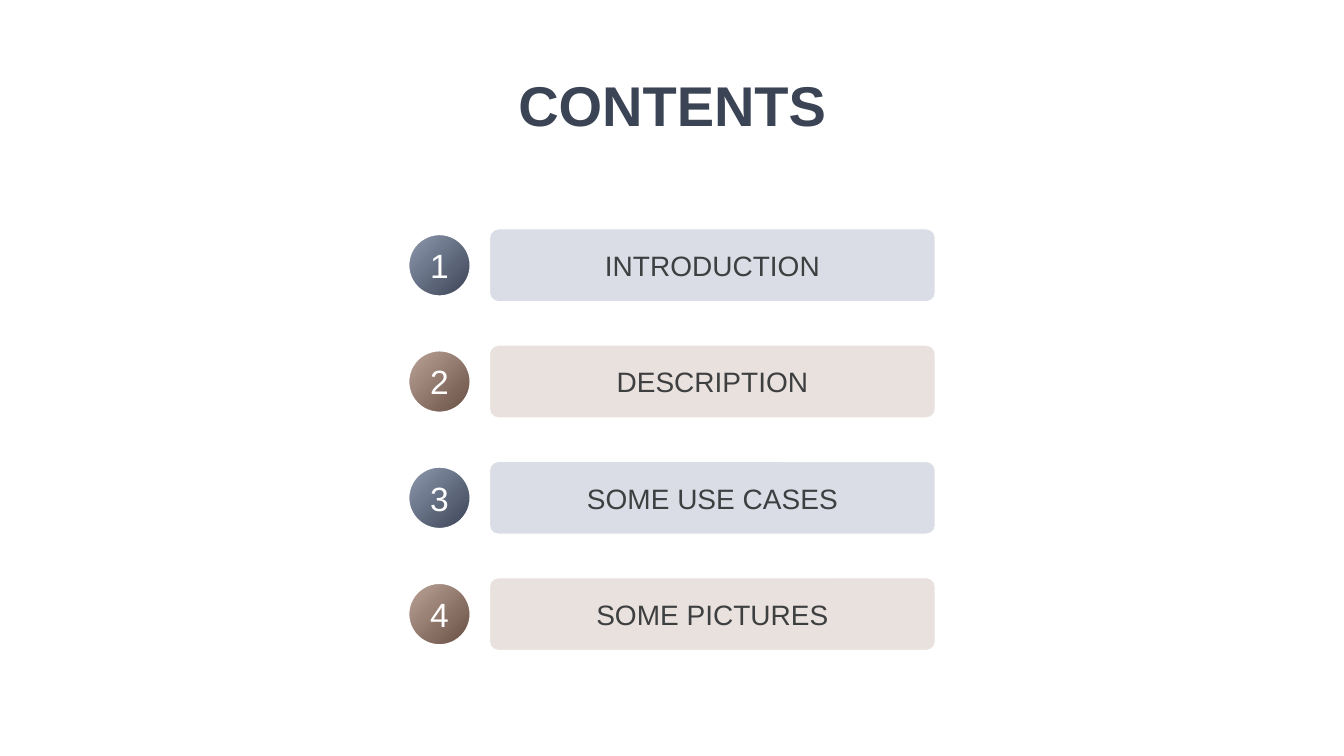
"""Build a contents slide with four numbered entries."""
from dataclasses import dataclass

import pptx
import pptx.dml.color
import pptx.enum.shapes
import pptx.enum.text
import pptx.shapes.autoshape
import pptx.slide
import pptx.text.text
import pptx.util
from pptx.util import Cm


@dataclass(frozen=True)
class Palette:
    light: str
    dark: str
    bar: str


@dataclass(frozen=True)
class Theme:
    font: str = "Arial"
    white: str = "FFFFFF"
    title: str = "3B4455"
    text: str = "3D3F41"
    blue: Palette = Palette("8F9AB0", "3B4455", "DADDE5")
    brown: Palette = Palette("BDA499", "684F44", "E9E1DD")
    title_size: int = 40
    number_size: int = 24
    entry_size: int = 20


@dataclass(frozen=True)
class Entry:
    label: str
    palette: Palette


THEME = Theme()
ENTRIES = [
    Entry("INTRODUCTION", THEME.blue),
    Entry("DESCRIPTION", THEME.brown),
    Entry("SOME USE CASES", THEME.blue),
    Entry("SOME PICTURES", THEME.brown),
]
FIRST_TOP, ROW_PITCH = 5.77, 2.93
BAR_LEFT, BAR_WIDTH, BAR_HEIGHT = 12.34, 11.23, 1.83
BADGE_LEFT, BADGE_SIZE = 10.29, 1.57


def rgb(code: str) -> pptx.dml.color.RGBColor:
    return pptx.dml.color.RGBColor.from_string(code)


def write(frame: pptx.text.text.TextFrame, text: str, size: int,
          color: str, bold: bool = False) -> None:
    frame.text = text
    frame.word_wrap = True
    frame.vertical_anchor = pptx.enum.text.MSO_ANCHOR.MIDDLE
    para = frame.paragraphs[0]
    para.alignment = pptx.enum.text.PP_ALIGN.CENTER
    para.font.name = THEME.font
    para.font.size = pptx.util.Pt(size)
    para.font.bold = bold
    para.font.color.rgb = rgb(color)


def outline(shape: pptx.shapes.autoshape.Shape, width: float) -> None:
    shape.shadow.inherit = False
    shape.line.color.rgb = rgb(THEME.white)
    shape.line.width = pptx.util.Pt(width)


def add_title(page: pptx.slide.Slide, text: str) -> None:
    title = page.shapes.title
    title.left, title.top = Cm(9.04), Cm(1.35)
    title.width, title.height = Cm(15.8), Cm(2.54)
    write(title.text_frame, text, THEME.title_size, THEME.title, bold=True)


def add_entry(page: pptx.slide.Slide, index: int, entry: Entry) -> None:
    kinds = pptx.enum.shapes.MSO_SHAPE
    group = page.shapes.add_group_shape()
    top = FIRST_TOP + index * ROW_PITCH

    badge = group.shapes.add_shape(
        kinds.OVAL, Cm(BADGE_LEFT), Cm(top + (BAR_HEIGHT - BADGE_SIZE) / 2),
        Cm(BADGE_SIZE), Cm(BADGE_SIZE))
    outline(badge, 1.5)
    badge.fill.gradient()
    badge.fill.gradient_angle = 315
    shades = (entry.palette.light, entry.palette.dark)
    for stop, shade in zip(badge.fill.gradient_stops, shades):
        stop.color.rgb = rgb(shade)
    write(badge.text_frame, str(index + 1), THEME.number_size, THEME.white)

    bar = group.shapes.add_shape(
        kinds.ROUNDED_RECTANGLE, Cm(BAR_LEFT), Cm(top),
        Cm(BAR_WIDTH), Cm(BAR_HEIGHT))
    bar.adjustments[0] = 0.12
    outline(bar, 0.75)
    bar.fill.solid()
    bar.fill.fore_color.rgb = rgb(entry.palette.bar)
    frame = bar.text_frame
    frame.margin_left = frame.margin_right = Cm(0)
    frame.margin_top = frame.margin_bottom = Cm(0)
    write(frame, entry.label, THEME.entry_size, THEME.text)


def main() -> None:
    deck = pptx.Presentation()
    deck.slide_width, deck.slide_height = Cm(33.87), Cm(19.05)
    page = deck.slides.add_slide(deck.slide_layouts.get_by_name("Title Only"))
    add_title(page, "CONTENTS")
    for index, entry in enumerate(ENTRIES):
        add_entry(page, index, entry)
    deck.save("out.pptx")


if __name__ == "__main__":
    main()
